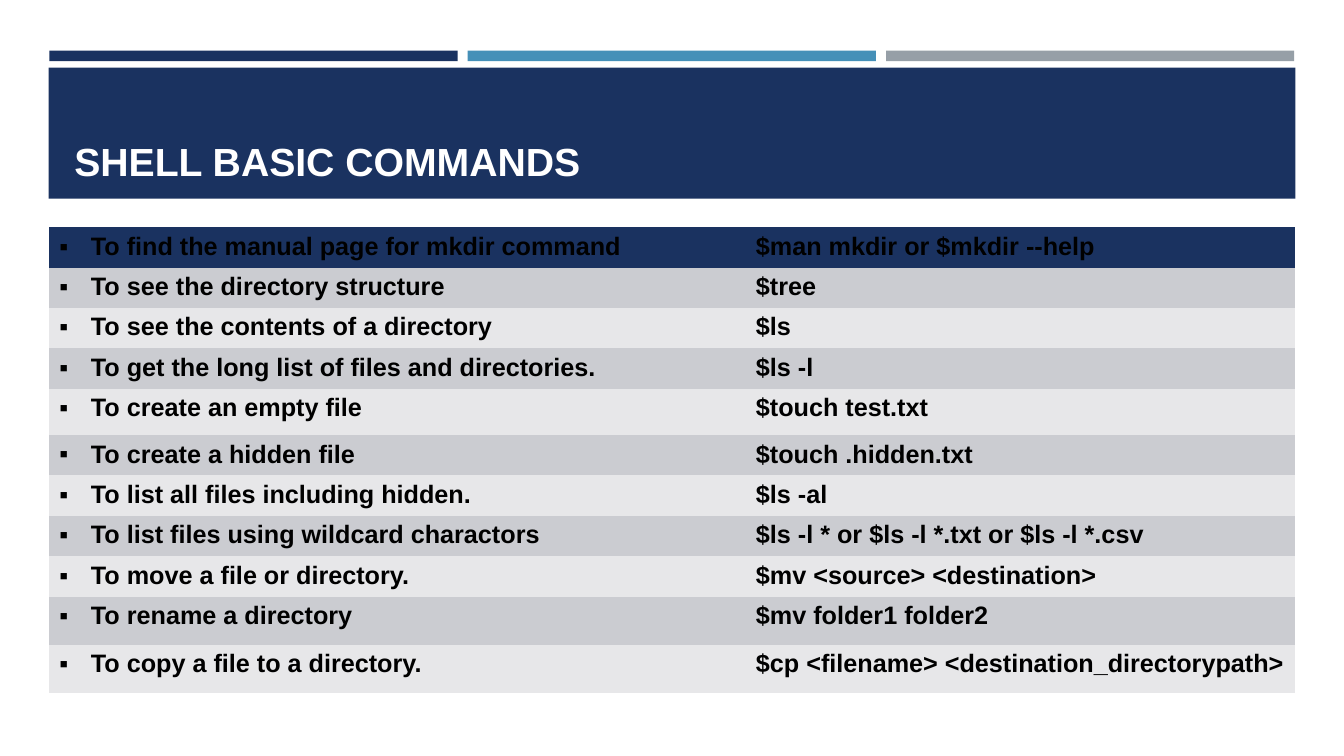
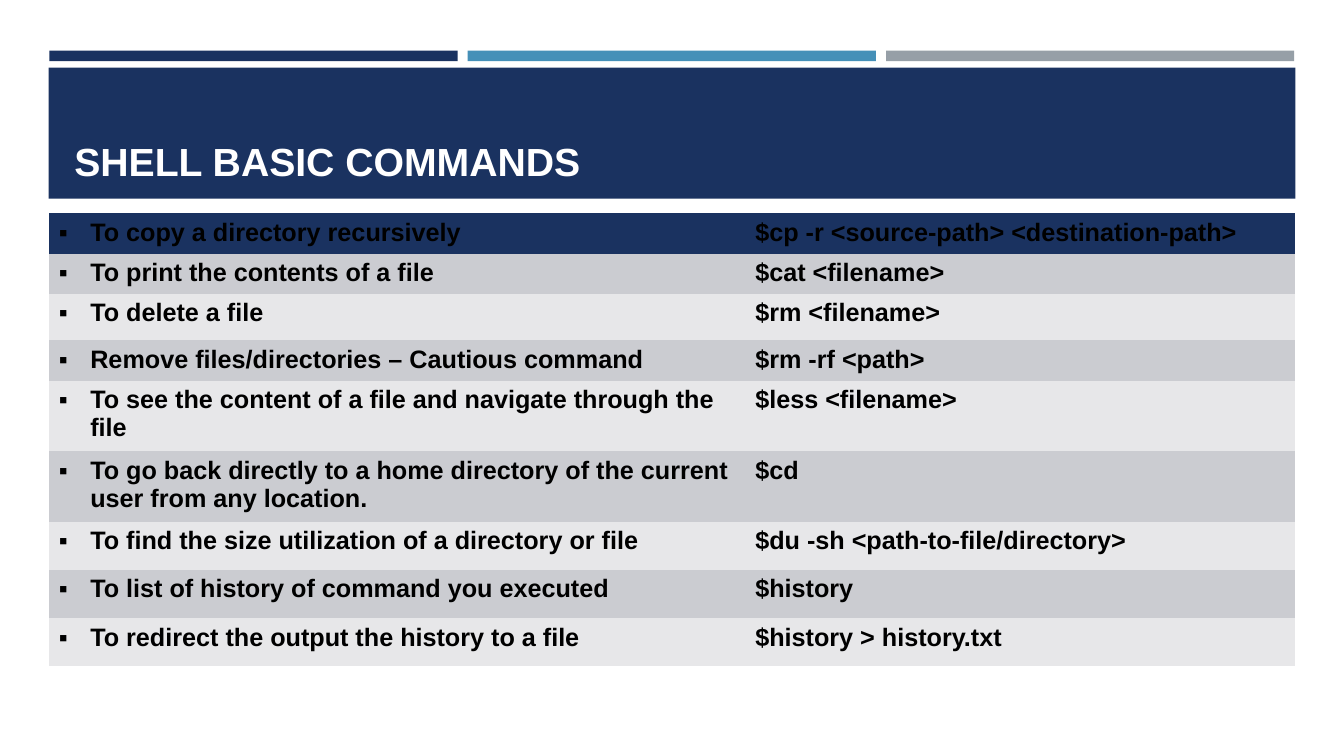
from lxml.etree import SubElement
from pptx import Presentation
from pptx.dml.color import RGBColor
from pptx.enum.shapes import MSO_SHAPE as Shape
from pptx.enum.text import MSO_ANCHOR as Anchor
from pptx.oxml.ns import qn
from pptx.util import Pt

NAVY, BLUE, GREY = "1A3260", "4590B8", "969FA7"
DARK, LIGHT = "CBCCD1", "E7E7E9"
BLACK, WHITE = "000000", "FFFFFF"
NO_GRID = "{2D5ABB26-0587-4C30-8999-92F81FD0307C}"
TITLE = "SHELL BASIC COMMANDS"
LOW, MID, HIGH = 28.35, 33.1, 34.4
INDENT = Pt(22.5)

# Each page: left and top of the table, then task, command and row height
PAGES = [
    (35.3, 162.4, [
        ("To find the manual page for mkdir command", "$man mkdir or $mkdir --help", LOW),
        ("To see the directory structure", "$tree", LOW),
        ("To see the contents of a directory", "$ls", LOW),
        ("To get the long list of files and directories.", "$ls -l", LOW),
        ("To create an empty file", "$touch test.txt", MID),
        ("To create a hidden file", "$touch .hidden.txt", LOW),
        ("To list all files including hidden.", "$ls -al", LOW),
        ("To list files using wildcard charactors", "$ls -l * or $ls -l *.txt or $ls -l *.csv", LOW),
        ("To move a file or directory.", "$mv <source> <destination>", LOW),
        ("To rename a directory", "$mv folder1 folder2", HIGH),
        ("To copy a file to a directory.", "$cp <filename> <destination_directorypath>", HIGH),
    ]),
    (34.8, 152.4, [
        ("To copy a directory recursively", "$cp -r <source-path> <destination-path>", LOW),
        ("To print the contents of a file", "$cat <filename>", LOW),
        ("To delete a file", "$rm <filename>", MID),
        ("Remove files/directories – Cautious command", "$rm -rf <path>", LOW),
        ("To see the content of a file and navigate through the file", "$less <filename>", LOW),
        ("To go back directly to a home directory of the current user from any location.", "$cd", LOW),
        ("To find the size utilization of a directory or file", "$du -sh <path-to-file/directory>", HIGH),
        ("To list of history of command you executed", "$history", HIGH),
        ("To redirect the output the history to a file", "$history > history.txt", HIGH),
    ]),
]


def paint(item, color):
    """Give a shape or cell a solid fill."""
    item.fill.solid()
    item.fill.fore_color.rgb = RGBColor.from_string(color)


def write(para, text, size, color):
    run = para.add_run()
    run.text = text
    run.font.name = "Arial"
    run.font.size = Pt(size)
    run.font.bold = True
    run.font.color.rgb = RGBColor.from_string(color)


deck = Presentation()
deck.slide_width, deck.slide_height = Pt(960), Pt(540)

bands = [(35.3 + 298.8 * i, 36.2, 291.6, 7.5, color)
         for i, color in enumerate((NAVY, BLUE, GREY))]
bands.append((34.8, 48.4, 890.6, 93.6, NAVY))

for left, top, rows in PAGES:
    slide = deck.slides.add_slide(deck.slide_layouts[6])

    for x, y, wide, high, color in bands:
        band = slide.shapes.add_shape(Shape.RECTANGLE, Pt(x), Pt(y), Pt(wide), Pt(high))
        band.shadow.inherit = False
        band.line.fill.background()
        paint(band, color)

    title = slide.shapes.add_textbox(Pt(46), Pt(55.4), Pt(868.3), Pt(80)).text_frame
    title.word_wrap = True
    title.vertical_anchor = Anchor.BOTTOM
    write(title.paragraphs[0], TITLE, 28, WHITE)

    total = sum(high for _, _, high in rows)
    frame = slide.shapes.add_table(len(rows), 2, Pt(left), Pt(top), Pt(890), Pt(total))
    for style in frame.element.iter(qn("a:tableStyleId")):
        style.text = NO_GRID
    table = frame.table
    table.columns[0].width, table.columns[1].width = Pt(497.5), Pt(392.5)

    for i, (task, command, high) in enumerate(rows):
        table.rows[i].height = Pt(high)
        color = NAVY if i == 0 else DARK if i % 2 else LIGHT
        for j, text in enumerate((task, command)):
            cell = table.cell(i, j)
            paint(cell, color)
            para = cell.text_frame.paragraphs[0]
            write(para, text, 18, BLACK)
            if j == 0:
                props = para._p.get_or_add_pPr()
                props.set("marL", str(INDENT))
                props.set("indent", str(-INDENT))
                tint = SubElement(props, qn("a:buClr"))
                SubElement(tint, qn("a:srgbClr"), val=BLACK)
                SubElement(props, qn("a:buFont"), typeface="Arial")
                SubElement(props, qn("a:buChar"), char="▪")

deck.save("out.pptx")
